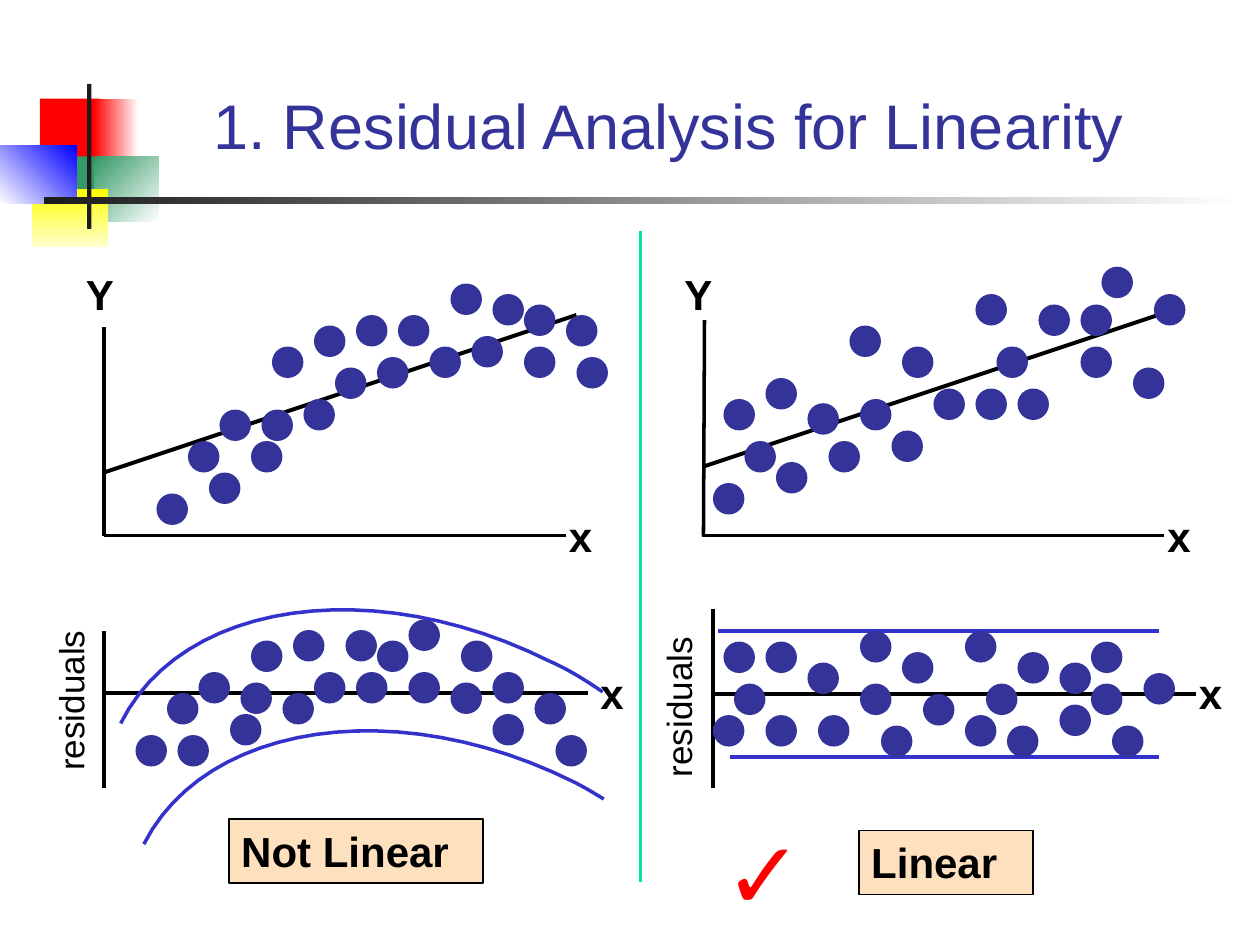
import pptx
import pptx.util
import pptx.dml.color
import pptx.enum.shapes
import pptx.enum.text
import pptx.oxml.ns
from lxml import etree

COLORS = {
    "navy": "333399", "curve": "3333CC", "black": "000000", "ink": "1C1C1C",
    "white": "FFFFFF", "red": "FF0000", "green": "339966", "blue": "0000FF",
    "yellow": "FFFF00", "cream": "FFFFCC", "peach": "FDE0BD", "mint": "00E4A8",
}
RGB = {name: pptx.dml.color.RGBColor.from_string(c) for name, c in COLORS.items()}
SHAPE = pptx.enum.shapes.MSO_SHAPE
ALIGN = pptx.enum.text.PP_ALIGN
ANCHOR = pptx.enum.text.MSO_ANCHOR

prs = pptx.Presentation()
prs.slide_width = pptx.util.Inches(10)
prs.slide_height = pptx.util.Inches(7.5)
s = prs.slides.add_slide(prs.slide_layouts[6])
CELL = prs.slide_width / 120  # the slide is a grid of 120 columns by 90 rows


def add_text(text, box, size, color="black", bold=False, align=ALIGN.LEFT, anchor=ANCHOR.TOP):
    """Add a text box; box is left, top, width, height in grid cells."""
    sp = s.shapes.add_textbox(*[round(v * CELL) for v in box])
    tf = sp.text_frame
    tf.word_wrap = True
    tf.vertical_anchor = anchor
    p = tf.paragraphs[0]
    p.alignment = align
    r = p.add_run()
    r.text = text
    r.font.name = "Arial"
    r.font.size = pptx.util.Pt(size)
    r.font.bold = bold
    r.font.color.rgb = RGB[color]
    return sp


def add_line(x1, y1, x2, y2, color="black", width=2):
    line = s.shapes.add_connector(pptx.enum.shapes.MSO_CONNECTOR.STRAIGHT,
                                  *[round(v * CELL) for v in (x1, y1, x2, y2)])
    line.line.color.rgb = RGB[color]
    line.line.width = pptx.util.Pt(width)
    etree.SubElement(line._element.spPr, pptx.oxml.ns.qn("a:effectLst"))


# Corner ornament and rule: box, first colour, last colour, clockwise angle
ornament = [
    ((3.8, 9.4, 5.8, 6.2), "red", "red", 0),
    ((8.9, 9.4, 4.3, 6.2), "red", "white", 0),
    ((9, 14.9, 6.1, 6.2), "green", "white", 45),
    ((5.2, 14.9, 3.8, 6.2), "green", "green", 0),
    ((3, 18, 7.3, 5.5), "yellow", "cream", 90),
    ((0, 13.9, 7.3, 5.5), "white", "blue", 315),
    ((8.3, 8, 0.4, 13.8), "ink", "ink", 0),
    ((4.2, 18.75, 114.1, 0.7), "ink", "white", 0),
]
for box, first, last, angle in ornament:
    sp = s.shapes.add_shape(SHAPE.RECTANGLE, *[round(v * CELL) for v in box])
    sp.shadow.inherit = False
    sp.line.fill.background()
    if first == last:
        sp.fill.solid()
        sp.fill.fore_color.rgb = RGB[first]
    else:
        sp.fill.gradient()
        sp.fill.gradient_angle = (360 - angle) % 360
        for stop, color, position in zip(sp.fill.gradient_stops, (first, last), (0, 1)):
            stop.color.rgb = RGB[color]
            stop.position = position

add_text("1. Residual Analysis for Linearity", (17.2, 3, 92.9, 13), 36, "navy",
         align=ALIGN.CENTER, anchor=ANCHOR.BOTTOM)

# Verdicts
for text, box in [("Not Linear", (21.8, 78, 24.2, 6.1)), ("Linear", (81.8, 79.1, 16.6, 6.1))]:
    sp = add_text(text, box, 24, bold=True)
    sp.fill.solid()
    sp.fill.fore_color.rgb = RGB["peach"]
    sp.line.color.rgb = RGB["black"]
    sp.line.width = pptx.util.Pt(1)
add_text("✓", (67.8, 77, 17.2, 12), 54, "red")

# Axes, fitted lines and residual bands
for ends in [
    (9.9, 31.1, 9.9, 51), (9.9, 51, 53.9, 51),
    (67.1, 30.5, 67, 51), (66.9, 51, 110.9, 51),
    (9.9, 60.1, 9.9, 75), (9.9, 66, 56, 66),
    (67.9, 58, 67.9, 75), (67.9, 66.1, 113.9, 66.1),
]:
    add_line(*ends)
for x, y in [(9.9, 45), (67.1, 44.4)]:
    add_line(x, y, x + 45, y - 15, width=2.25)
for x, y in [(68.4, 60.1), (69.5, 72.1)]:
    add_line(x, y, 110.4, y, "curve")

# Curved bands: each is two cubic Bezier pieces sharing a point
STEPS = 24
bands = [
    [(11.5, 68.9), (17.3, 57.2), (35.6, 54.6), (52.4, 63), (54.2, 63.8), (55.8, 64.8), (57.4, 65.9)],
    [(13.7, 80.4), (19.6, 68.8), (37.9, 66.1), (54.7, 74.5), (55.7, 75), (56.5, 75.5), (57.5, 76.1)],
]
for band in bands:
    points = []
    for a, b, c, d in (band[:4], band[3:]):
        for t in [i / STEPS for i in range(1, STEPS + 1)]:
            u = 1 - t
            points.append(tuple(
                u**3 * a[k] + 3 * u * u * t * b[k] + 3 * u * t * t * c[k] + t**3 * d[k]
                for k in (0, 1)))
    builder = s.shapes.build_freeform(band[0][0] * CELL, band[0][1] * CELL)
    builder.add_line_segments([(x * CELL, y * CELL) for x, y in points], close=False)
    sp = builder.convert_to_shape()
    sp.shadow.inherit = False
    sp.fill.background()
    sp.line.color.rgb = RGB["curve"]
    sp.line.width = pptx.util.Pt(2)

# Data points: column and row of each dot's top left corner
left_scatter = [
    (15, 47), (20, 45), (38, 30), (41, 33), (47, 28), (24, 42), (45, 32),
    (50, 33), (50, 29), (54, 30), (43, 27), (32, 35), (34, 30), (30, 31),
    (18, 42), (21, 39), (25, 39), (36, 34), (26, 33), (55, 34), (29, 38),
]
right_scatter = [
    (68, 46), (71, 42), (93, 28), (95, 33), (103, 29), (74, 44), (97, 37), (103, 33),
    (105, 25.4), (99, 29), (85, 41), (86, 33), (81, 31), (69, 38), (73, 36),
    (77, 38.4), (89, 37), (82, 38), (108, 35), (79, 42), (110, 28), (93, 37),
]
left_residuals = [
    (13, 70), (17, 70), (36, 61), (39, 59), (43, 65), (22, 68), (44, 61),
    (47, 68), (47, 64), (51, 66), (39, 64), (30, 64), (33, 60), (28, 60),
    (16, 66), (19, 64), (23, 65), (34, 64), (24, 61), (53, 70), (27, 66),
]
right_residuals = [
    (77, 63), (73, 61), (68, 68), (70, 65), (69, 61), (82, 65), (82, 60), (73, 68),
    (92, 60), (86, 62), (84, 69), (78, 68), (101, 63), (92, 68), (88, 66), (101, 67),
    (94, 65), (96, 69), (97, 62), (106, 69), (104, 61), (109, 64), (104, 65),
]
DOT = round(3 * CELL)
for dots, drop in [(left_scatter, 0), (right_scatter, 0), (left_residuals, 0), (right_residuals, 0.1)]:
    for column, row in dots:
        sp = s.shapes.add_shape(SHAPE.OVAL, round((column - 0.1) * CELL), round((row + drop) * CELL), DOT, DOT)
        sp.shadow.inherit = False
        sp.fill.solid()
        sp.fill.fore_color.rgb = RGB["navy"]
        sp.line.fill.background()

# Axis labels
for text, x, y in [("Y", 7, 25), ("x", 53, 48), ("x", 56, 63),
                   ("Y", 64, 25), ("x", 110, 48), ("x", 113, 63)]:
    add_text(text, (x, y, 5.2, 6), 24, bold=True)
for x, y in [(-1.9, 63.4), (56, 64)]:
    add_text("residuals", (x, y, 17.2, 5.2), 20).rotation = 270

add_line(61, 22, 61, 84, "mint", 2.25)

prs.save("out.pptx")
